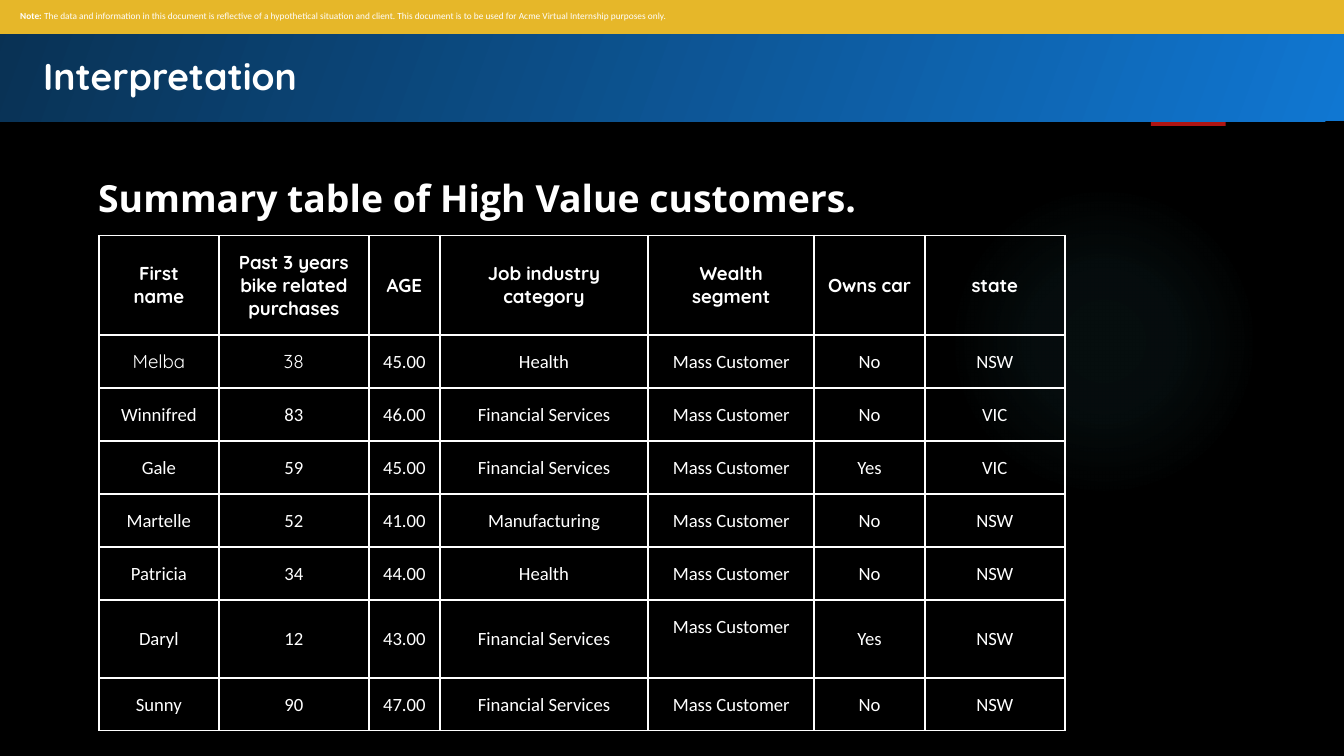
from lxml.etree import fromstring
from pptx import Presentation
from pptx.dml.color import RGBColor as RGB
from pptx.enum.shapes import MSO_SHAPE as Form
from pptx.enum.text import MSO_ANCHOR as Anchor, PP_ALIGN as Align
from pptx.oxml.ns import qn
from pptx.util import Pt

WHITE = RGB(0xFF, 0xFF, 0xFF)
BLACK = RGB(0, 0, 0)
RED = RGB(0xB0, 0x15, 0x13)
GOLD = RGB(0xE6, 0xB7, 0x29)
BLUE = RGB(0x10, 0x77, 0xD2)
NAVY = RGB(0x09, 0x31, 0x53)
TEAL = RGB(0x50, 0xB9, 0xC1)
NS = 'xmlns:a="http://schemas.openxmlformats.org/drawingml/2006/main"'

TITLE = "Interpretation"
HEADING = "Summary table of High Value customers."
NOTE = [
    ("Note: ", True),
    ("The data and information in this document is reflective of a hypothetical "
     "situation and client. This document is to be used for Acme Virtual "
     "Internship purposes only.", False),
]
HEAD = ["First name", "Past 3 years bike related purchases", "AGE",
        "Job industry category", "Wealth segment", "Owns car", "state"]
MASS = "Mass Customer"
BANK = "Financial Services"
ROWS = [
    ["Melba", "38", "45.00", "Health", MASS, "No", "NSW"],
    ["Winnifred", "83", "46.00", BANK, MASS, "No", "VIC"],
    ["Gale", "59", "45.00", BANK, MASS, "Yes", "VIC"],
    ["Martelle", "52", "41.00", "Manufacturing", MASS, "No", "NSW"],
    ["Patricia", "34", "44.00", "Health", MASS, "No", "NSW"],
    ["Daryl", "12", "43.00", BANK, MASS, "Yes", "NSW"],
    ["Sunny", "90", "47.00", BANK, MASS, "No", "NSW"],
]
WIDE = [64.2, 80.4, 38, 111.7, 89, 59.2, 75]
TALL = [53.4] + [28.35] * 5 + [41.8, 28.35]
LOOSE = (7.2, 3.6, 7.2, 3.6)
TIGHT = (0.72, 0.72, 0.72, 0)
RAISED = (7.2, 3.6, 7.2, 16.4)
GLOW = [(0, 7), (36, 6), (69, 0)]


def add_run(para, text, size, font, bold):
    run = para.add_run()
    run.text = text
    run.font.size = Pt(size)
    run.font.name = font
    run.font.bold = bold
    run.font.color.rgb = WHITE


def set_pad(item, pad):
    (item.margin_left, item.margin_top,
     item.margin_right, item.margin_bottom) = map(Pt, pad)


def add_form(slide, form, box, color=None):
    shape = slide.shapes.add_shape(form, *map(Pt, box))
    shape.shadow.inherit = False
    shape.line.fill.background()
    if color is None:
        shape.fill.background()
    else:
        shape.fill.solid()
        shape.fill.fore_color.rgb = color
    return shape


def add_glow(slide):
    shape = add_form(slide, Form.OVAL, (508.3, 99.4, 166.3, 166.3))
    stops = "".join(
        f'<a:gs pos="{pos * 1000}"><a:srgbClr val="{TEAL}">'
        f'<a:alpha val="{alpha * 1000}"/></a:srgbClr></a:gs>'
        for pos, alpha in GLOW)
    grad = fromstring(
        f'<a:gradFill {NS}><a:gsLst>{stops}</a:gsLst><a:path path="circle">'
        '<a:fillToRect l="50000" t="50000" r="50000" b="50000"/>'
        '</a:path></a:gradFill>')
    props = shape.element.spPr
    props.replace(props.find(qn("a:noFill")), grad)


def add_tab(slide):
    shape = add_form(slide, Form.RECTANGLE, (616.5, 0, 40.2, 67.5), RED)
    shade = fromstring(
        f'<a:outerShdw {NS} blurRad="{Pt(3)}" dist="{Pt(2)}" dir="5400000">'
        f'<a:srgbClr val="{BLACK}"><a:alpha val="45000"/></a:srgbClr>'
        '</a:outerShdw>')
    shape.element.spPr.find(qn("a:effectLst")).append(shade)


def add_band(slide):
    shape = add_form(slide, Form.RECTANGLE, (-1.5, -1.5, 723.5, 66.4), BLUE)
    shape.fill.gradient()
    shape.fill.gradient_angle = 160
    for stop, pos, color in zip(shape.fill.gradient_stops, (0, 1), (BLUE, NAVY)):
        stop.position = pos
        stop.color.rgb = color


def add_text(slide, box, text, font, space=None):
    frame = slide.shapes.add_textbox(*map(Pt, box)).text_frame
    frame.word_wrap = True
    set_pad(frame, [7.2] * 4)
    para = frame.paragraphs[0]
    para.line_spacing = space
    add_run(para, text, 20, font, True)


def add_note(slide):
    shape = add_form(slide, Form.RECTANGLE, (-0.8, -0.8, 722, 19), GOLD)
    frame = shape.text_frame
    frame.word_wrap = True
    frame.vertical_anchor = Anchor.MIDDLE
    set_pad(frame, (11.6, 3.6, 3.6, 3.6))
    para = frame.paragraphs[0]
    para.alignment = Align.LEFT
    for text, bold in NOTE:
        add_run(para, text, 5, "Calibri", bold)


def set_edge(cell):
    props = cell._tc.get_or_add_tcPr()
    for spot, side in enumerate(("lnL", "lnR", "lnT", "lnB")):
        props.insert(spot, fromstring(
            f'<a:{side} {NS} w="{Pt(1)}"><a:solidFill>'
            f'<a:srgbClr val="{WHITE}"/></a:solidFill></a:{side}>'))


def add_grid(slide):
    data = [HEAD] + ROWS
    grid = slide.shapes.add_table(
        len(data), len(HEAD), Pt(53), Pt(126.2), Pt(sum(WIDE)), Pt(sum(TALL))).table
    grid.first_row = grid.horz_banding = False
    for col, wide in zip(grid.columns, WIDE):
        col.width = Pt(wide)
    for row, tall in zip(grid.rows, TALL):
        row.height = Pt(tall)
    for y, line in enumerate(data):
        for x, text in enumerate(line):
            cell = grid.cell(y, x)
            head = y == 0
            plain = head or (y == 1 and x < 2)
            lift = line[0] == "Daryl" and text == MASS
            cell.fill.background()
            set_edge(cell)
            cell.vertical_anchor = Anchor.MIDDLE
            set_pad(cell, RAISED if lift else LOOSE if plain else TIGHT)
            para = cell.text_frame.paragraphs[0]
            para.alignment = Align.CENTER
            add_run(para, text, 10, "Quicksand" if plain else "Calibri", head)


def main():
    deck = Presentation()
    deck.slide_width, deck.slide_height = Pt(720), Pt(405)
    slide = deck.slides.add_slide(deck.slide_layouts[6])
    slide.background.fill.solid()
    slide.background.fill.fore_color.rgb = BLACK
    add_glow(slide)
    add_tab(slide)
    add_band(slide)
    add_text(slide, (16, 21, 675, 60), TITLE, "Quicksand")
    add_text(slide, (45.5, 83, 674.5, 40), HEADING, "Open Sans", 1.15)
    add_note(slide)
    add_grid(slide)
    deck.save("out.pptx")


if __name__ == "__main__":
    main()
